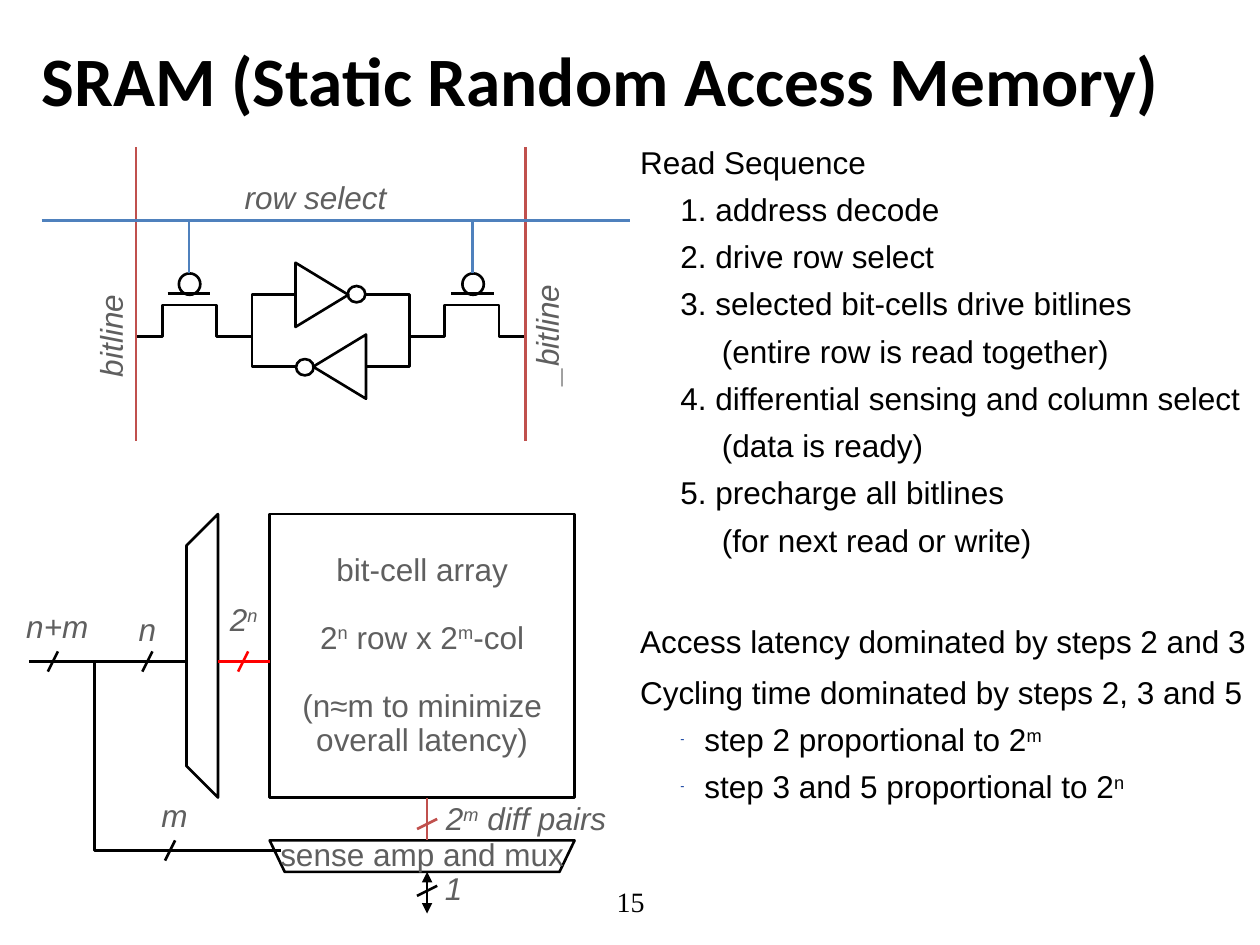
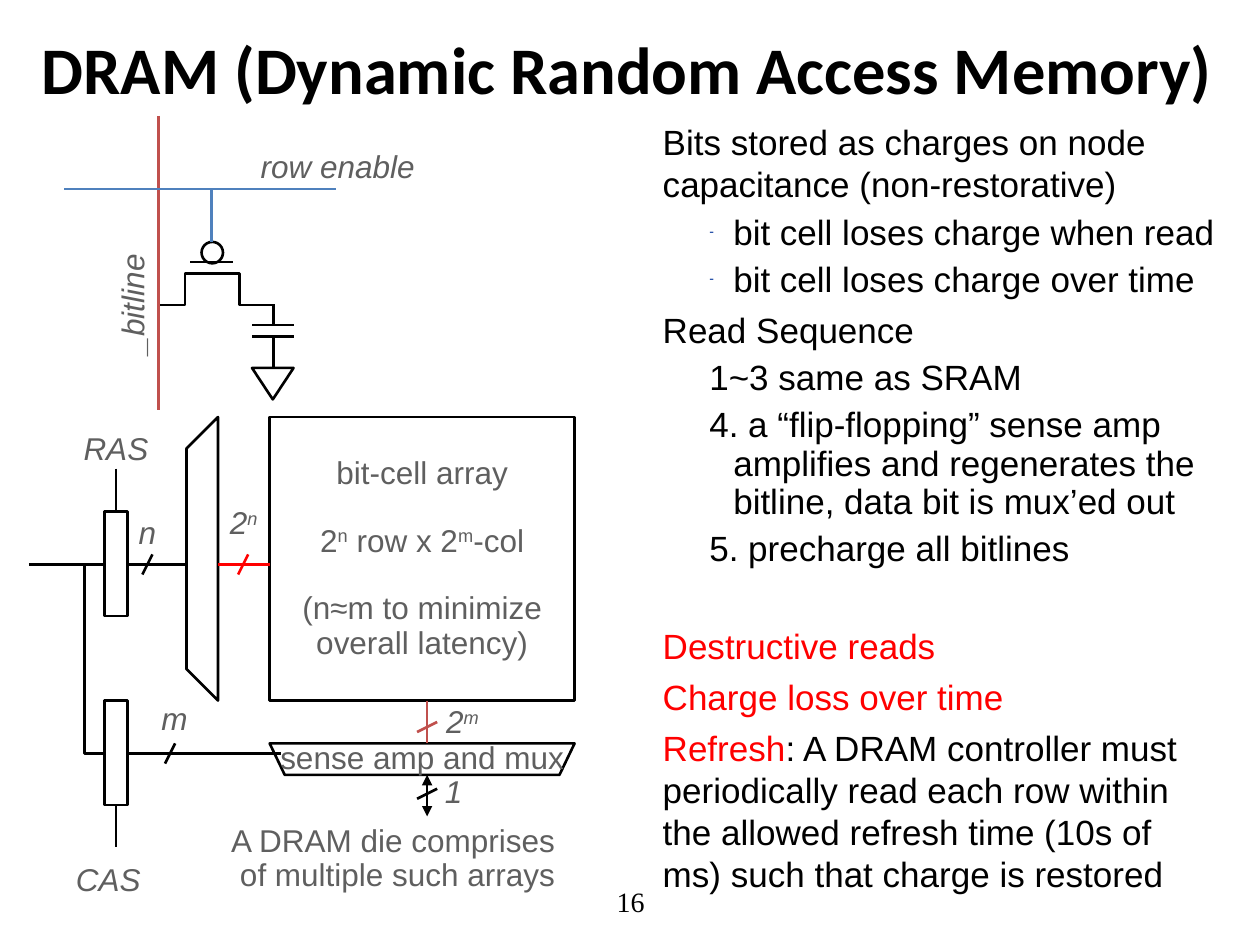
import lxml.etree
import pptx
import pptx.dml.color
import pptx.enum.shapes
import pptx.enum.text
import pptx.oxml.ns
import pptx.util

Inches = pptx.util.Inches
Pt = pptx.util.Pt
RGB = pptx.dml.color.RGBColor
Shape = pptx.enum.shapes.MSO_SHAPE
Align = pptx.enum.text.PP_ALIGN
Anchor = pptx.enum.text.MSO_ANCHOR
qn = pptx.oxml.ns.qn

BLACK = RGB(0x00, 0x00, 0x00)
WHITE = RGB(0xFF, 0xFF, 0xFF)
GREY = RGB(0x5F, 0x5F, 0x5F)
RED = RGB(0xFF, 0x00, 0x00)
BRICK = RGB(0xC0, 0x50, 0x4D)
BLUE = RGB(0x4F, 0x81, 0xBD)
NAVY = RGB(0x00, 0x33, 0x99)

LINE = 19.4
HEAD = {"level": 0, "margin": 0, "indent": 0, "lead": 24}
STEP = {"level": 1, "margin": 0.56, "indent": -0.19, "lead": 22}
DASH = {**STEP, "mark": "-"}
NOTE = {**STEP, "margin": 0.7, "indent": 0}


def write(para, text, size=18, color=GREY, font="Arial", bold=False, italic=False):
    """Write text into a paragraph, raising each letter that follows a caret."""
    head, *rest = text.split("^")
    parts = [(head, False)]
    for part in rest:
        parts += [(part[:1], True), (part[1:], False)]
    for part, raised in parts:
        if not part:
            continue
        run = para.add_run()
        run.text = part
        run.font.size = Pt(size)
        run.font.name = font
        run.font.bold = bold
        run.font.italic = italic
        run.font.color.rgb = color
        if raised:
            run._r.get_or_add_rPr().set("baseline", "30000")


class Deck:
    """Holds the shared style and the current slide."""

    def __init__(self):
        self.prs = pptx.Presentation()
        self.prs.slide_width = Inches(10)
        self.prs.slide_height = Inches(7.5)

    def place(self, shape, left, top, width, height):
        shape.left, shape.top = Inches(left), Inches(top)
        shape.width, shape.height = Inches(width), Inches(height)

    def page(self, title, number, size, top, height):
        self.slide = self.prs.slides.add_slide(self.prs.slide_layouts[1])
        self.shapes = self.slide.shapes
        head = self.shapes.title
        self.place(head, 0.23, top, 9.75, height)
        frame = head.text_frame
        frame.auto_size = pptx.enum.text.MSO_AUTO_SIZE.NONE
        frame.vertical_anchor = Anchor.MIDDLE
        frame.paragraphs[0].alignment = Align.LEFT
        write(frame.paragraphs[0], title, size=size, color=BLACK, font="Calibri", bold=True)
        foot = self.shapes.add_textbox(Inches(3.42), Inches(6.95), Inches(3.17), Inches(0.4))
        foot.text_frame.vertical_anchor = Anchor.MIDDLE
        self.lines(foot.text_frame, [number], spread=1, size=16, color=BLACK, font="Times New Roman")

    def lines(self, frame, texts, gaps=(), spread=0.9, **form):
        frame.word_wrap = False
        for spot, text in enumerate(texts):
            para = frame.add_paragraph() if spot else frame.paragraphs[0]
            para.alignment = Align.CENTER
            para.line_spacing = spread
            if spot in gaps:
                para.space_before = Pt(LINE)
            write(para, text, **form)

    def label(self, text, left, top, width, height=0.37, turn=0, italic=True):
        box = self.shapes.add_textbox(Inches(left), Inches(top), Inches(width), Inches(height))
        box.rotation = turn
        self.lines(box.text_frame, text.split("\n"), italic=italic)

    def dress(self, shape, fill=None):
        shape.shadow.inherit = False
        shape.line.color.rgb = BLACK
        shape.line.width = Pt(1.5)
        if fill is None:
            shape.fill.background()
        else:
            shape.fill.solid()
            shape.fill.fore_color.rgb = fill
        return shape

    def form(self, kind, left, top, width, height, turn=0, fill=None):
        shape = self.shapes.add_shape(kind, Inches(left), Inches(top), Inches(width), Inches(height))
        shape.rotation = turn
        return self.dress(shape, fill)

    def trace(self, *points, close=False):
        spots = [(Inches(x), Inches(y)) for x, y in points]
        draft = self.shapes.build_freeform(*spots[0], scale=1.0)
        draft.add_line_segments(spots[1:], close=close)
        return self.dress(draft.convert_to_shape())

    def wire(self, x1, y1, x2, y2, color=BLACK, heads=False):
        wire = self.shapes.add_connector(
            pptx.enum.shapes.MSO_CONNECTOR.STRAIGHT, Inches(x1), Inches(y1), Inches(x2), Inches(y2))
        wire.line.color.rgb = color
        wire.line.width = Pt(1.5)
        props = wire.element.spPr
        if heads:
            for end in ("a:headEnd", "a:tailEnd"):
                lxml.etree.SubElement(props.find(qn("a:ln")), qn(end), type="triangle")
        lxml.etree.SubElement(props, qn("a:effectLst"))
        return wire

    def tick(self, x, y, color=BLACK, flat=False):
        dx, dy = (0.08, 0.04) if flat else (0.04, 0.08)
        self.wire(x - dx, y + dy, x + dx, y - dy, color)

    def body(self, left, top, width, size, pad=0):
        self.size, self.pad = size, pad
        box = self.slide.placeholders[1]
        self.place(box, left, top, width, 5.33)
        self.frame = box.text_frame
        self.frame.auto_size = pptx.enum.text.MSO_AUTO_SIZE.NONE
        self.frame.word_wrap = True

    def item(self, text, kind=HEAD, alert="", gap=5):
        para = self.frame.add_paragraph() if self.frame.text else self.frame.paragraphs[0]
        para.level = kind["level"]
        para.line_spacing = Pt(kind["lead"])
        para.space_before = Pt(gap)
        props = para._p.get_or_add_pPr()
        props.set("marL", str(Inches(kind["margin"] or self.pad)))
        props.set("indent", str(Inches(kind["indent"])))
        if "mark" in kind:
            tint = lxml.etree.SubElement(props, qn("a:buClr"))
            lxml.etree.SubElement(tint, qn("a:srgbClr"), val=str(NAVY))
            lxml.etree.SubElement(props, qn("a:buSzPct"), val="40000")
            lxml.etree.SubElement(props, qn("a:buChar"), char=kind["mark"])
        else:
            lxml.etree.SubElement(props, qn("a:buNone"))
        write(para, alert, size=self.size, color=RED)
        write(para, text, size=self.size, color=BLACK)

    def gate(self, x, y, way=1):
        steps = [(0, 0), (0.21, 0), (0.21, -0.25), (0.64, -0.25), (0.64, 0), (0.92, 0)]
        self.trace(*[(x + way * dx, y + dy) for dx, dy in steps])
        mid = x + way * 0.42
        self.wire(mid - 0.17, y - 0.34, mid + 0.17, y - 0.34)
        self.form(Shape.OVAL, mid - 0.08, y - 0.5, 0.17, 0.17)
        self.wire(x, y - 1.5, x, y + 0.83, BRICK)
        self.wire(mid, y - 0.92, mid, y - 0.5, BLUE)

    def bank(self, top, fork, pairs, width):
        row, base, mux = top + 1.17, top + 2.25, top + 2.59
        cells = self.form(Shape.RECTANGLE, 2.14, top, 2.42, 2.25)
        cells.text_frame.vertical_anchor = Anchor.MIDDLE
        self.lines(cells.text_frame, ["bit-cell array", "2^n row x 2^m-col",
                                      "(n≈m to minimize", "overall latency)"], gaps=(1, 2))
        sense = self.trace((2.14, mux), (2.26, mux + 0.25), (4.44, mux + 0.25), (4.56, mux), close=True)
        sense.text_frame.vertical_anchor = Anchor.MIDDLE
        self.lines(sense.text_frame, ["sense amp and mux"])
        self.trace((1.73, top), (1.48, top + 0.25), (1.48, top + 2), (1.73, base), close=True)
        self.wire(3.39, base, 3.39, mux, BRICK)
        self.tick(3.39, base + 0.21, BRICK, flat=True)
        self.wire(1.73, row, 2.14, row, RED)
        self.tick(1.93, row, RED)
        self.wire(0.23, row, 1.48, row)
        self.tick(1.17, row)
        self.trace((fork, row), (fork, row + 1.5), (2.23, row + 1.5))
        self.tick(1.35, row + 1.5)
        self.wire(3.39, mux + 0.25, 3.39, mux + 0.58, heads=True)
        self.tick(3.39, mux + 0.4, flat=True)
        self.label(pairs, 3.43, base, width)
        self.label("2^n", 1.72, top + 0.67, 0.43)
        self.label("n", 1, top + 0.75, 0.34)
        self.label("m", 1.18, top + 2.22, 0.41)
        self.label("1", 3.43, top + 2.8, 0.34)


def static(deck):
    deck.page("SRAM (Static Random Access Memory)", "15", 39.6, 0, 1.25)
    deck.bank(4.08, 0.75, "2^m diff pairs", 1.49)
    deck.tick(0.42, 5.25)
    deck.label("n+m", 0.11, 4.8, 0.69)

    deck.form(Shape.ISOSCELES_TRIANGLE, 2.3, 2.13, 0.51, 0.42, turn=90)
    deck.form(Shape.OVAL, 2.76, 2.27, 0.14, 0.13)
    deck.form(Shape.ISOSCELES_TRIANGLE, 2.44, 2.7, 0.51, 0.42, turn=270)
    deck.form(Shape.OVAL, 2.35, 2.85, 0.14, 0.13)
    for near, far in ((2.9, 3.25), (2.35, 2)):
        deck.trace((near, 2.34), (far, 2.34), (far, 2.91), (near, 2.91))
    deck.gate(1.08, 2.67)
    deck.gate(4.17, 2.67, way=-1)
    deck.wire(0.33, 1.75, 5, 1.75, BLUE)
    deck.label("row select", 1.84, 1.4, 1.33)
    deck.label("bitline", 0.47, 2.48, 0.85, turn=270)
    deck.label("_bitline", 3.86, 2.47, 0.99, turn=270)

    deck.body(4.93, 1.05, 5.28, 18, pad=0.05)
    deck.item("Read Sequence")
    for text, kind in (
        ("1. address decode", STEP),
        ("2. drive row select", STEP),
        ("3. selected bit-cells drive bitlines", STEP),
        ("(entire row is read together)", NOTE),
        ("4. differential sensing and column select", STEP),
        ("(data is ready)", NOTE),
        ("5. precharge all bitlines", STEP),
        ("(for next read or write)", NOTE),
    ):
        deck.item(text, kind)
    deck.item("Access latency dominated by steps 2 and 3", gap=34)
    deck.item("Cycling time dominated by steps 2, 3 and 5")
    deck.item("step 2 proportional to 2^m", DASH)
    deck.item("step 3 and 5 proportional to 2^n", DASH)


def dynamic(deck):
    deck.page("DRAM (Dynamic Random Access Memory)", "16", 38, -0.05, 1.17)
    deck.gate(1.26, 2.42)
    deck.wire(0.51, 1.5, 2.67, 1.5, BLUE)
    deck.label("row enable", 1.97, 1.15, 1.42)
    deck.label("_bitline", 0.57, 2.23, 0.99, turn=270)
    deck.wire(2.17, 2.42, 2.17, 2.58)
    for plate in (2.58, 2.67):
        deck.wire(2, plate, 2.33, plate)
    deck.wire(2.17, 2.67, 2.17, 2.92)
    deck.form(Shape.ISOSCELES_TRIANGLE, 2, 2.92, 0.33, 0.25, turn=180)

    deck.bank(3.31, 0.67, "2^m", 0.48)
    upper, lower = [deck.form(Shape.RECTANGLE, 0.83, top, 0.18, 0.83, fill=WHITE) for top in (4.06, 5.56)]
    deck.wire(0.92, 3.72, 0.92, 4.06).end_connect(upper, 0)
    deck.wire(0.92, 6.39, 0.92, 6.72).begin_connect(lower, 2)
    deck.label("RAS", 0.56, 3.39, 0.72)
    deck.label("CAS", 0.5, 6.81, 0.72)
    deck.label("A DRAM die comprises \nof multiple such arrays", 1.73, 6.5, 2.85, 0.64, italic=False)

    deck.body(5.16, 0.91, 4.62, 20)
    deck.item("Bits stored as charges on node capacitance (non-restorative)")
    deck.item("bit cell loses charge when read", DASH)
    deck.item("bit cell loses charge over time", DASH)
    deck.item("Read Sequence")
    deck.item("1~3 same as SRAM", STEP)
    deck.item("4. a “flip-flopping” sense amp amplifies and regenerates the bitline, "
              "data bit is mux’ed out", STEP)
    deck.item("5. precharge all bitlines", STEP)
    deck.item("", alert="Destructive reads", gap=32)
    deck.item("", alert="Charge loss over time")
    deck.item(": A DRAM controller must periodically read each row within the allowed "
              "refresh time (10s of ms) such that charge is restored", alert="Refresh")


def main():
    deck = Deck()
    static(deck)
    dynamic(deck)
    deck.prs.save("out.pptx")


if __name__ == "__main__":
    main()
